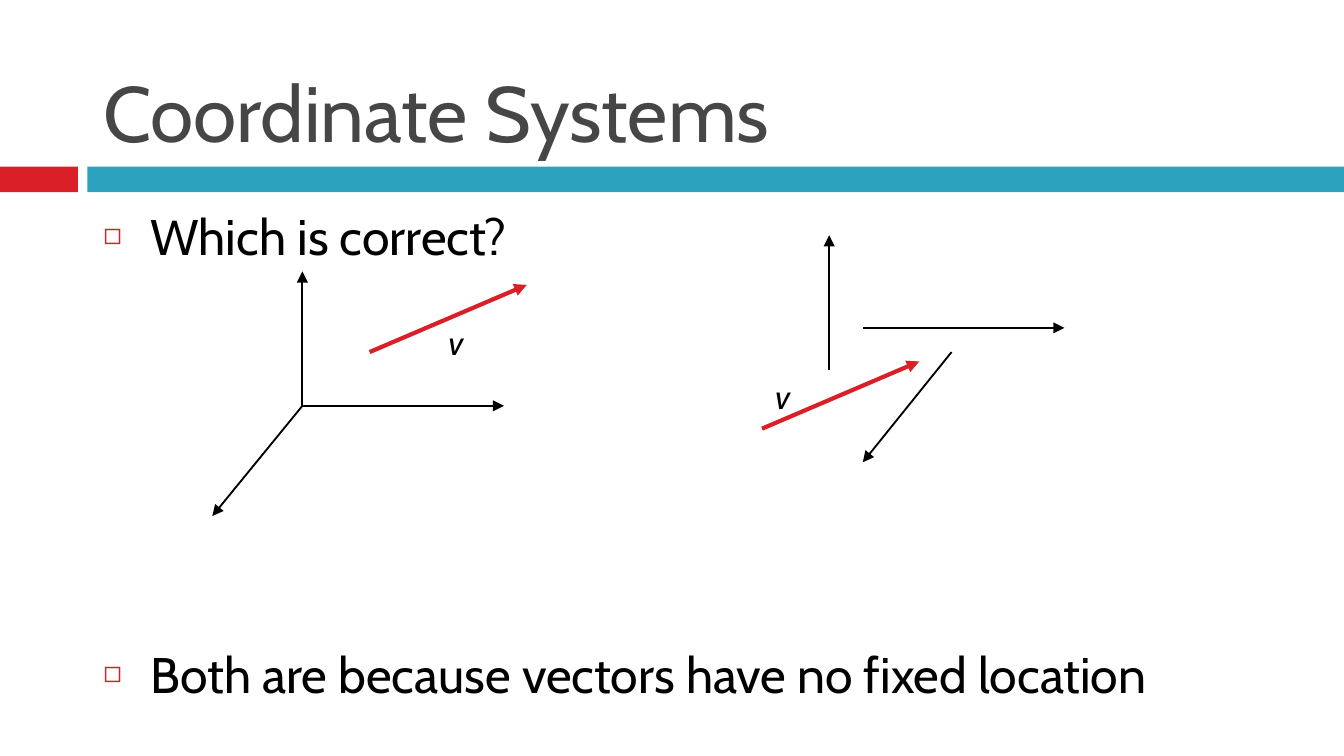
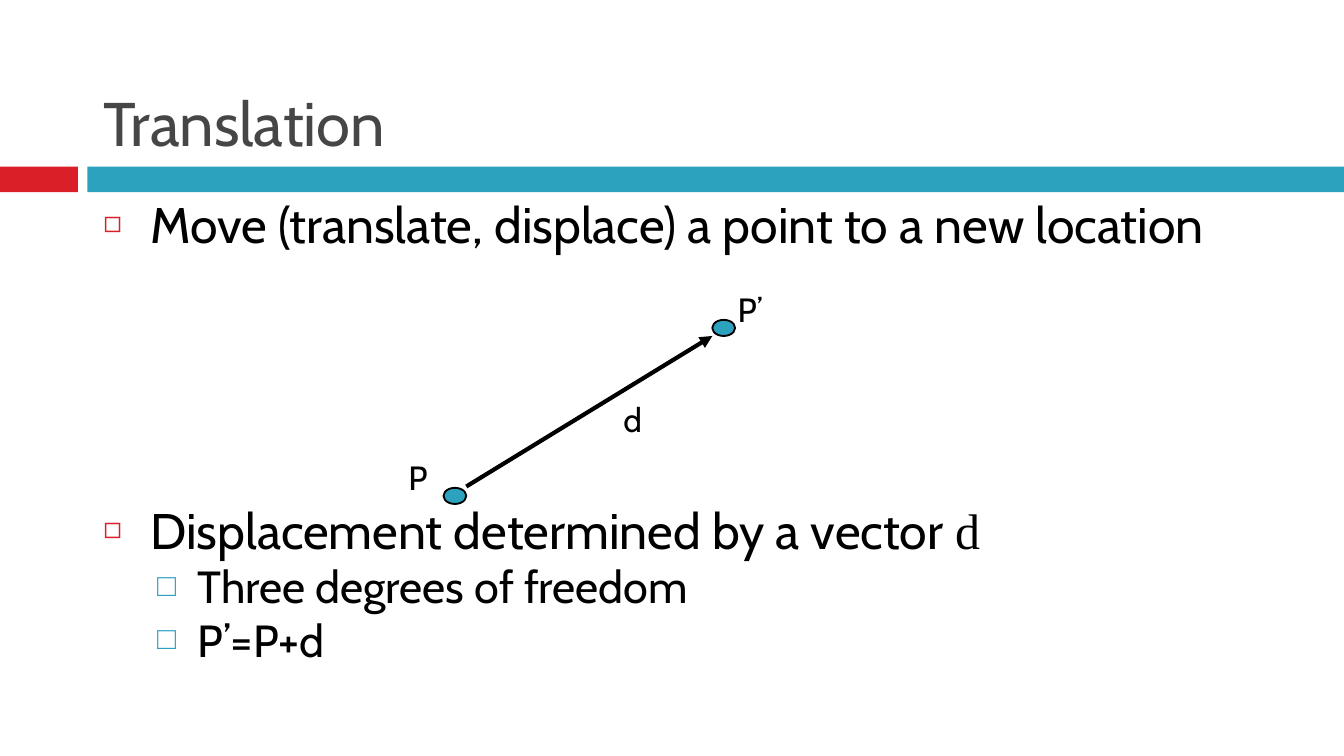
from dataclasses import dataclass

from lxml import etree
from pptx import Presentation
from pptx import util as u
from pptx.dml.color import RGBColor
from pptx.enum import shapes, text
from pptx.oxml.ns import qn

RED, TEAL, GREY, BLACK = "DA1F28", "2DA2BF", "464646", "000000"
FONT, SERIF = "Cabin", "Times New Roman"
RECT, OVAL = shapes.MSO_SHAPE.RECTANGLE, shapes.MSO_SHAPE.OVAL
DOT_WIDTH, DOT_HEIGHT = 0.17, 0.12


@dataclass
class Level:
    indent: float
    hanging: float
    size: float
    before: float
    bullet: str
    color: str
    percent: int


LEVELS = (
    Level(0.35, 0.35, 26.8, 7, "◻", RED, 60),
    Level(0.7, 0.3, 24.1, 5.5, "□", TEAL, 70),
)


@dataclass
class Item:
    """A bullet; `gap` is the space in points that leaves room for a drawing."""
    words: str
    level: int = 0
    gap: float | None = None
    serif_end: str = ""


@dataclass
class Arrow:
    start: tuple[float, float]
    end: tuple[float, float]
    color: str = BLACK
    width: float = 1


@dataclass
class Label:
    words: str
    left: float
    top: float
    width: float
    italic: bool = False


def rgb(color: str) -> RGBColor:
    return RGBColor.from_string(color)


def add_run(para, words: str, size: float, color: str = BLACK, font: str = FONT,
            italic: bool = False) -> None:
    span = para.add_run()
    span.text = words
    span.font.name, span.font.size = font, u.Pt(size)
    span.font.color.rgb = rgb(color)
    if italic:
        span.font.italic = True


def add_box(page, left: float, top: float, width: float, height: float, wrap: bool = True):
    box = page.shapes.add_textbox(*map(u.Inches, (left, top, width, height)))
    box.text_frame.word_wrap = wrap
    return box.text_frame


def add_filled(page, kind, left: float, top: float, width: float, height: float,
               fill: str, line: str | None = None) -> None:
    shape = page.shapes.add_shape(kind, *map(u.Inches, (left, top, width, height)))
    shape.shadow.inherit = False
    shape.fill.solid()
    shape.fill.fore_color.rgb = rgb(fill)
    if line:
        shape.line.color.rgb = rgb(line)
        shape.line.width = u.Pt(1)
    else:
        shape.line.fill.background()


def add_page(deck, title: str, size: float):
    page = deck.slides.add_slide(deck.slide_layouts[6])
    add_filled(page, RECT, 0, 1.24, 0.58, 0.19, RED)
    add_filled(page, RECT, 0.65, 1.24, 9.35, 0.19, TEAL)
    frame = add_box(page, 0.67, 0.13, 8.92, 1.1)
    frame.vertical_anchor = text.MSO_ANCHOR.BOTTOM
    add_run(frame.paragraphs[0], title, size, GREY)
    return page


def set_bullet(para, level: Level) -> None:
    props = para._p.get_or_add_pPr()
    props.set("marL", str(u.Inches(level.indent)))
    props.set("indent", str(-u.Inches(level.hanging)))
    color = etree.SubElement(props, qn("a:buClr"))
    etree.SubElement(color, qn("a:srgbClr"), val=level.color)
    etree.SubElement(props, qn("a:buSzPct"), val=str(level.percent * 1000))
    etree.SubElement(props, qn("a:buFont"), typeface=SERIF)
    etree.SubElement(props, qn("a:buChar"), char=level.bullet)


def add_body(page, items: list[Item], line_spacing: float | None = None) -> None:
    frame = add_box(page, 0.67, 1.48, 8.92, 3.58)
    for index, item in enumerate(items):
        level = LEVELS[item.level]
        para = frame.add_paragraph() if index else frame.paragraphs[0]
        para.level = item.level
        set_bullet(para, level)
        if line_spacing:
            para.line_spacing = line_spacing
        if index:
            para.space_before = u.Pt(level.before if item.gap is None else item.gap)
        add_run(para, item.words, level.size)
        if item.serif_end:
            add_run(para, item.serif_end, level.size, font=SERIF)


def add_arrow(page, arrow: Arrow) -> None:
    line = page.shapes.add_connector(
        shapes.MSO_CONNECTOR.STRAIGHT, *map(u.Inches, arrow.start + arrow.end))
    line.line.color.rgb = rgb(arrow.color)
    line.line.width = u.Pt(arrow.width)
    etree.SubElement(line.line._get_or_add_ln(), qn("a:tailEnd"), type="triangle")
    etree.SubElement(line._element.spPr, qn("a:effectLst"))


def add_label(page, label: Label) -> None:
    frame = add_box(page, label.left, label.top, label.width, 0.4, wrap=False)
    frame.auto_size = text.MSO_AUTO_SIZE.SHAPE_TO_FIT_TEXT
    add_run(frame.paragraphs[0], label.words, 18, italic=label.italic)


def add_drawing(page, arrows: list[Arrow], labels: list[Label]) -> None:
    for arrow in arrows:
        add_arrow(page, arrow)
    for label in labels:
        add_label(page, label)


def coordinate_systems(deck) -> None:
    page = add_page(deck, "Coordinate Systems", 42)
    add_body(page, [
        Item("Which is correct?"),
        Item("Both are because vectors have no fixed location", gap=202.5),
    ])
    origin = (2.25, 3.02)
    joined_axes = [Arrow(origin, tip) for tip in ((3.75, 3.02), (2.25, 2.02), (1.58, 3.84))]
    loose_axes = [
        Arrow((6.42, 2.44), (7.92, 2.44)),
        Arrow((6.17, 2.75), (6.17, 1.75)),
        Arrow((7.08, 2.62), (6.42, 3.44)),
    ]
    vectors = [
        Arrow((left, top), (left + 1.17, top - 0.5), RED, 2.25)
        for left, top in ((2.75, 2.62), (5.67, 3.19))
    ]
    add_drawing(page, joined_axes + loose_axes + vectors, [
        Label("v", 3.24, 2.35, 0.31, italic=True),
        Label("v", 5.67, 2.75, 0.31, italic=True),
    ])


def translation(deck) -> None:
    page = add_page(deck, "Translation", 33)
    add_body(page, [
        Item("Move (translate, displace) a point to a new location"),
        Item("Displacement determined by a vector ", gap=138, serif_end="d"),
        Item("Three degrees of freedom", level=1),
        Item("P’=P+d", level=1),
    ], line_spacing=0.8)
    for left, top in ((3.3, 3.63), (5.3, 2.38)):
        add_filled(page, OVAL, left, top, DOT_WIDTH, DOT_HEIGHT, TEAL, BLACK)
    add_drawing(page, [Arrow((3.47, 3.62), (5.3, 2.5), width=2.25)], [
        Label("P", 2.94, 3.35, 0.33),
        Label("P’", 5.39, 2.1, 0.4),
        Label("d", 4.54, 2.92, 0.34),
    ])


def main() -> None:
    deck = Presentation()
    deck.slide_width = u.Inches(10)
    deck.slide_height = deck.slide_width * 9 // 16
    coordinate_systems(deck)
    translation(deck)
    deck.save("out.pptx")


if __name__ == "__main__":
    main()
